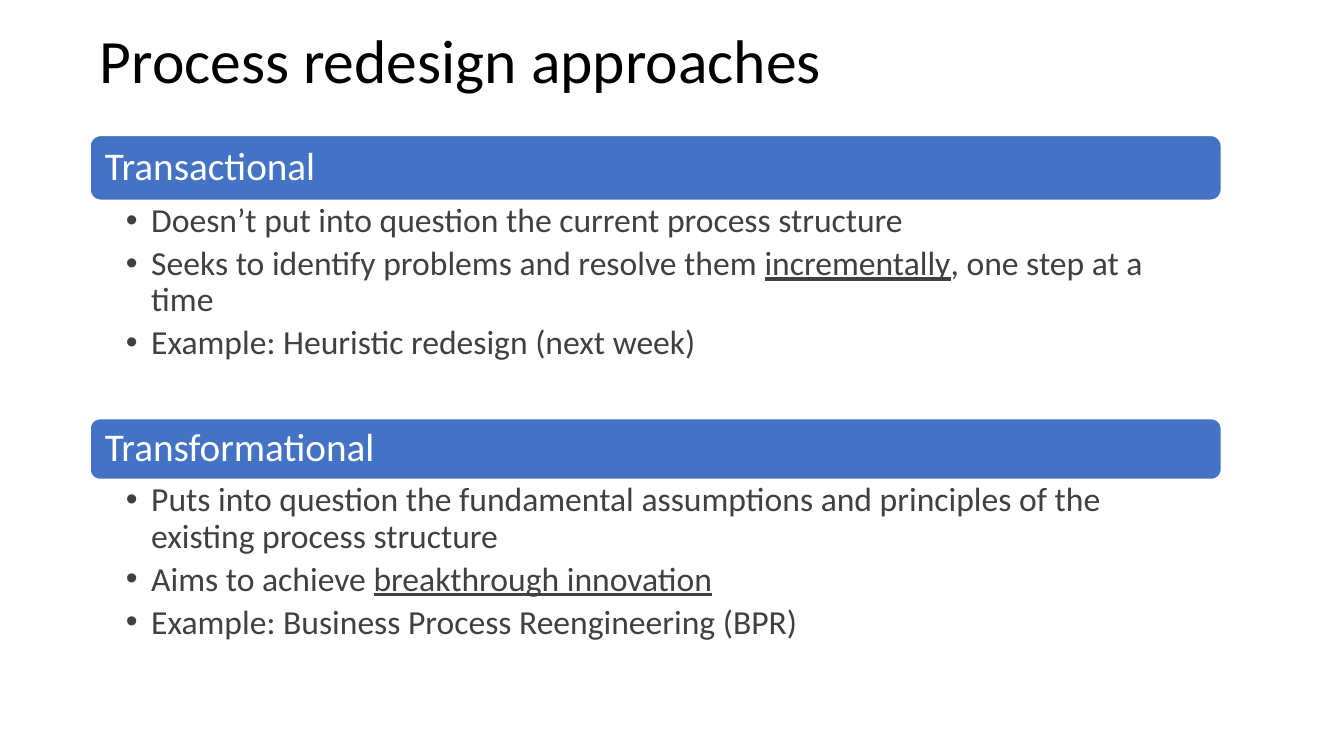
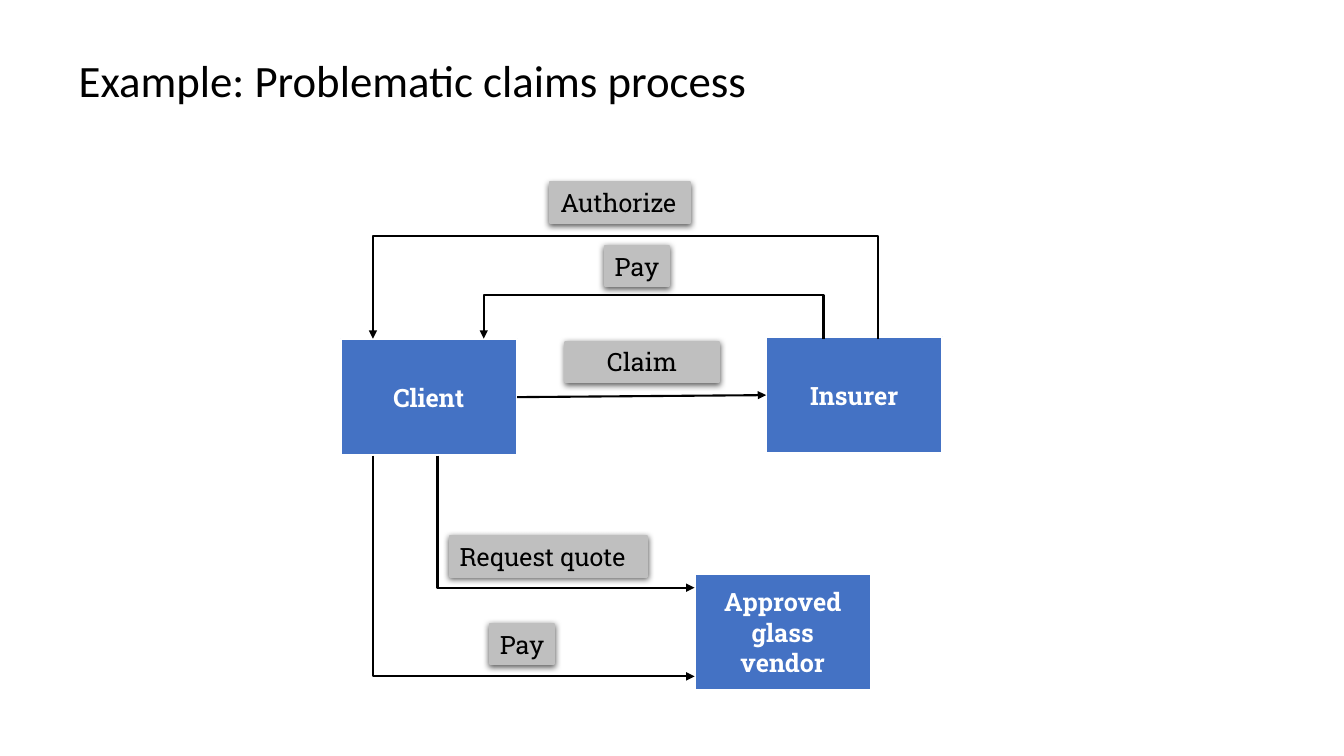
from dataclasses import dataclass
from itertools import pairwise

from lxml.etree import SubElement
from pptx import Presentation
from pptx.dml.color import RGBColor
from pptx.enum.shapes import MSO_CONNECTOR as Connector, MSO_SHAPE as Preset
from pptx.enum.text import MSO_ANCHOR as Anchor, MSO_AUTO_SIZE as AutoSize, PP_ALIGN as Align
from pptx.oxml.ns import qn
from pptx.util import Emu, Inches, Pt

WIDTH, HEIGHT = Inches(13.33), Inches(7.5)
COLUMNS, ROWS = 80, 45


@dataclass(frozen=True)
class Theme:
    blue: RGBColor = RGBColor(0x44, 0x72, 0xC4)
    grey: RGBColor = RGBColor(0xBF, 0xBF, 0xBF)
    white: RGBColor = RGBColor(0xFF, 0xFF, 0xFF)
    black: RGBColor = RGBColor(0, 0, 0)
    list_text: RGBColor = RGBColor(0x40, 0x40, 0x40)
    text_font: str = "Calibri"
    diagram_font: str = "Roboto Slab"
    title: int = 44
    small_title: int = 32
    heading: int = 28
    bullet: int = 24
    diagram: int = 18
    line: float = 1.5


THEME = Theme()


@dataclass(frozen=True)
class Area:
    """A place on the slide in grid columns and rows."""
    left: float
    top: float
    width: float
    height: float


@dataclass(frozen=True)
class Section:
    heading: str
    heading_rows: float
    list_rows: float
    bullets: tuple[str, ...]


@dataclass(frozen=True)
class Party:
    name: str
    left: float
    top: float


@dataclass(frozen=True)
class Label:
    text: str
    left: float
    top: float
    width: float
    fixed_width: bool = False


MARGIN, CONTENT_WIDTH, SECTIONS_TOP = 5.34, 67.38, 8.04
SECTIONS = (
    Section("Transactional", 3.9, 12.96, (
        "Doesn’t put into question the current process structure",
        "Seeks to identify problems and resolve them _incrementally_, one step at a time",
        "Example: Heuristic redesign (next week)",
    )),
    Section("Transformational", 3.66, 10.26, (
        "Puts into question the fundamental assumptions and principles of the "
        "existing process structure",
        "Aims to achieve _breakthrough innovation_",
        "Example: Business Process Reengineering (BPR)",
    )),
)

PARTY_WIDTH, PARTY_HEIGHT, LABEL_HEIGHT = 10.5, 6.96, 2.4
CLIENT = Party("Client", 20.28, 20.16)
VENDOR = Party("Approved\nglass\nvendor", 41.34, 34.14)
INSURER = Party("Insurer", 45.6, 20.04)
CLIENT_BOTTOM = CLIENT.top + PARTY_HEIGHT
OUTER_LANE = 22.2


def over(start: float, lane: float, end: float) -> list[tuple[float, float]]:
    """Route from the insurer up to a lane and down to the client."""
    return [(start, CLIENT.top), (start, lane), (end, lane), (end, CLIENT.top)]


def under(start: float, lane: float) -> list[tuple[float, float]]:
    """Route from the client down to a lane and across to the vendor."""
    return [(start, CLIENT_BOTTOM), (start, lane), (VENDOR.left, lane)]


ROUTES = (
    under(26.04, 34.98),
    under(OUTER_LANE, 40.26),
    over(49.02, 17.58, 28.8),
    over(52.26, 14.04, OUTER_LANE),
)
LABELS = (
    Label("Authorize", 32.76, 10.86, 8.34),
    Label("Pay", 36, 14.64, 3.84),
    Label("Claim", 33.66, 20.34, 9.12, fixed_width=True),
    Label("Request quote", 26.76, 31.92, 11.76),
    Label("Pay", 29.16, 37.14, 3.84),
)


def x(columns: float) -> Emu:
    return Emu(round(columns * WIDTH / COLUMNS))


def y(rows: float) -> Emu:
    return Emu(round(rows * HEIGHT / ROWS))


def place(sp, area: Area) -> None:
    sp.left, sp.top = x(area.left), y(area.top)
    sp.width, sp.height = x(area.width), y(area.height)


def format_text(tf, size: int, color: RGBColor, font: str = THEME.text_font,
                bold: bool = False, align=Align.LEFT, spacing: float = 1.0) -> None:
    for p in tf.paragraphs:
        p.alignment, p.line_spacing = align, spacing
        for r in p.runs:
            r.font.size, r.font.name, r.font.bold = Pt(size), font, bold
            r.font.color.rgb = color


def add_title(slide, text: str, area: Area, size: int, spacing: float) -> None:
    sp = slide.shapes.title
    place(sp, area)
    tf = sp.text_frame
    tf.text = text
    tf.auto_size, tf.vertical_anchor = AutoSize.NONE, Anchor.MIDDLE
    format_text(tf, size, THEME.black, spacing=spacing)


def add_box(slide, preset, area: Area, text: str, fill: RGBColor, line: RGBColor):
    sp = slide.shapes.add_shape(preset, 0, 0, 0, 0)
    place(sp, area)
    sp.shadow.inherit = False
    sp.fill.solid()
    sp.fill.fore_color.rgb = fill
    sp.line.color.rgb, sp.line.width = line, Pt(THEME.line)
    sp.text_frame.text = text
    return sp


def add_heading(slide, text: str, area: Area) -> None:
    tf = add_box(slide, Preset.ROUNDED_RECTANGLE, area, text, THEME.blue, THEME.white).text_frame
    tf.margin_left = tf.margin_right = tf.margin_top = tf.margin_bottom = Inches(0.12)
    tf.vertical_anchor = Anchor.MIDDLE
    format_text(tf, THEME.heading, THEME.white, spacing=0.9)


def fill_list(sp, bullets: tuple[str, ...], area: Area) -> None:
    """Fill a body placeholder; text between underscores is underlined."""
    place(sp, area)
    tf = sp.text_frame
    tf.text = "\n".join(bullets)
    tf.auto_size, tf.vertical_anchor = AutoSize.NONE, Anchor.TOP
    tf.margin_left, tf.margin_right = Inches(0.36), Inches(0.19)
    tf.margin_top = tf.margin_bottom = Inches(0.03)
    for p, bullet in zip(tf.paragraphs, bullets):
        p.clear()
        for i, piece in enumerate(filter(None, bullet.split("_"))):
            r = p.add_run()
            r.text = piece
            r.font.underline = i % 2 == 1
        p.space_before, p.space_after = Pt(0), Pt(0.2 * THEME.bullet)
        pPr = p._p.get_or_add_pPr()
        pPr.set("marL", str(Inches(0.25)))
        pPr.set("indent", str(Inches(-0.25)))
    format_text(tf, THEME.bullet, THEME.list_text, spacing=0.9)


def add_party(slide, party: Party):
    area = Area(party.left, party.top, PARTY_WIDTH, PARTY_HEIGHT)
    sp = add_box(slide, Preset.RECTANGLE, area, party.name, THEME.blue, THEME.white)
    tf = sp.text_frame
    tf.word_wrap, tf.vertical_anchor = False, Anchor.MIDDLE
    format_text(tf, THEME.diagram, THEME.white, THEME.diagram_font, True, Align.CENTER)
    return sp


def add_label(slide, label: Label) -> None:
    area = Area(label.left, label.top, label.width, LABEL_HEIGHT)
    sp = add_box(slide, Preset.RECTANGLE, area, label.text, THEME.grey, THEME.grey)
    tf = sp.text_frame
    tf.word_wrap, tf.vertical_anchor = label.fixed_width, Anchor.TOP
    tf.auto_size = AutoSize.SHAPE_TO_FIT_TEXT
    align = Align.CENTER if label.fixed_width else Align.LEFT
    format_text(tf, THEME.diagram, THEME.black, THEME.diagram_font, align=align)
    effects = sp._element.spPr.find(qn("a:effectLst"))
    shadow = SubElement(effects, qn("a:outerShdw"), blurRad=str(Pt(4.5)),
                        dist=str(Pt(1.5)), dir="5400000", rotWithShape="0")
    color = SubElement(shadow, qn("a:srgbClr"), val=str(THEME.black))
    SubElement(color, qn("a:alpha"), val="63000")


def style_arrow(line) -> None:
    line.color.rgb, line.width = THEME.black, Pt(THEME.line)
    SubElement(line._get_or_add_ln(), qn("a:tailEnd"), type="triangle")


def add_route(slide, points: list[tuple[float, float]]) -> None:
    start, *rest = [(x(column), y(row)) for column, row in points]
    builder = slide.shapes.build_freeform(*start)
    builder.add_line_segments(rest, close=False)
    sp = builder.convert_to_shape()
    sp.shadow.inherit = False
    sp.fill.background()
    style_arrow(sp.line)


def add_straight_arrow(slide, source, target) -> None:
    """Join the right side of one box to the left side of another."""
    arrow = slide.shapes.add_connector(Connector.STRAIGHT, 0, 0, 0, 0)
    arrow.begin_connect(source, 3)
    arrow.end_connect(target, 1)
    style_arrow(arrow.line)
    SubElement(arrow._element.spPr, qn("a:effectLst"))


def add_approaches(prs) -> None:
    slide = prs.slides.add_slide(prs.slide_layouts.get_by_name("Two Content"))
    add_title(slide, "Process redesign approaches",
              Area(MARGIN, 1.2, CONTENT_WIDTH, 5.22), THEME.title, 0.9)
    bodies = list(slide.placeholders)[1:]
    top = SECTIONS_TOP
    for section, body in zip(SECTIONS, bodies):
        add_heading(slide, section.heading,
                    Area(MARGIN, top, CONTENT_WIDTH, section.heading_rows))
        top += section.heading_rows
        fill_list(body, section.bullets, Area(MARGIN, top, CONTENT_WIDTH, section.list_rows))
        top += section.list_rows


def add_claims_process(prs) -> None:
    slide = prs.slides.add_slide(prs.slide_layouts.get_by_name("Title Only"))
    add_title(slide, "Example: Problematic claims process",
              Area(4.08, 1.02, 63.9, 7.44), THEME.small_title, 1.0)
    client, _, insurer = [add_party(slide, party) for party in (CLIENT, VENDOR, INSURER)]
    for route in ROUTES:
        add_route(slide, route)
    for label in LABELS:
        add_label(slide, label)
    add_straight_arrow(slide, client, insurer)


def main() -> None:
    prs = Presentation()
    prs.slide_width, prs.slide_height = WIDTH, HEIGHT
    add_approaches(prs)
    add_claims_process(prs)
    prs.save("out.pptx")


if __name__ == "__main__":
    main()
